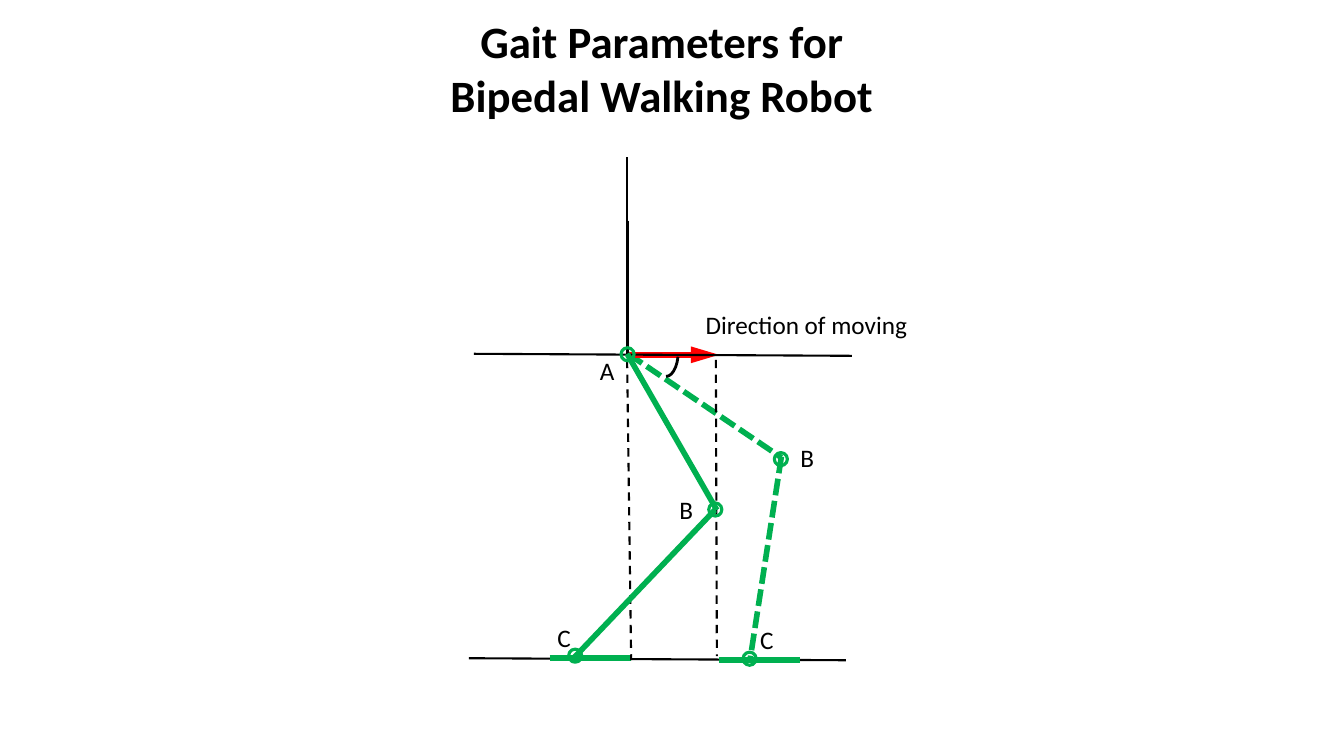
from lxml import etree
from pptx import Presentation
from pptx.dml.color import RGBColor
from pptx.enum.dml import MSO_LINE as Dash
from pptx.enum.shapes import MSO_CONNECTOR as Link, MSO_SHAPE as Preset
from pptx.enum.text import MSO_AUTO_SIZE as AutoSize, PP_ALIGN as Align
from pptx.oxml.ns import qn
from pptx.util import Pt

PX = 9144  # 100 px to the inch
BLACK = RGBColor(0x00, 0x00, 0x00)
GREEN = RGBColor(0x00, 0xB0, 0x50)
RED = RGBColor(0xFF, 0x00, 0x00)
JOINT_SIZE = 13


def emu(*lengths):
    return [length * PX for length in lengths]


class GaitSlide:
    font_name = "Calibri"

    def __init__(self, deck):
        self.shapes = deck.slides.add_slide(deck.slide_layouts[6]).shapes
        self.figure = self.shapes.add_group_shape().shapes

    def line(self, start, end, color=BLACK, width=1.5, dash=None, arrow=False):
        link = self.figure.add_connector(Link.STRAIGHT, *emu(*start, *end))
        link.line.color.rgb = color
        link.line.width = Pt(width)
        if dash:
            link.line.dash_style = dash
        if arrow:
            etree.SubElement(link.line._get_or_add_ln(), qn("a:tailEnd"),
                             type="triangle", w="med", len="lg")
        etree.SubElement(link._element.spPr, qn("a:effectLst"))

    def outline(self, preset, box, color, width, rotation=0):
        """Draw an unfilled preset shape."""
        shape = self.figure.add_shape(preset, *emu(*box))
        shape.shadow.inherit = False
        shape.fill.background()
        shape.line.color.rgb = color
        shape.line.width = Pt(width)
        shape.rotation = rotation

    def joint(self, left, top):
        self.outline(Preset.OVAL, (left, top, JOINT_SIZE, JOINT_SIZE), GREEN, 2.25)

    def text(self, shapes, lines, box, size=18, bold=False, align=Align.LEFT,
             right_inset=10):
        text_box = shapes.add_textbox(*emu(*box))
        frame = text_box.text_frame
        frame.word_wrap = True
        frame.auto_size = AutoSize.SHAPE_TO_FIT_TEXT
        frame.margin_right = right_inset * PX
        frame.text = "\n".join(lines)
        for paragraph in frame.paragraphs:
            paragraph.alignment = align
            font = paragraph.runs[0].font
            font.name = self.font_name
            font.size = Pt(size)
            font.bold = bold
            font.color.rgb = BLACK

    def label(self, wording, left, top, width=38):
        self.text(self.figure, [wording], (left, top, width, 40))

    def title(self, *lines):
        self.text(self.shapes, lines, (427, 9, 475, 172), size=32, bold=True,
                  align=Align.CENTER, right_inset=26)


def main():
    deck = Presentation()
    deck.slide_width, deck.slide_height = emu(1333, 750)
    slide = GaitSlide(deck)

    # Swing thigh, moving direction and torso
    slide.line((623, 351), (775, 454), GREEN, 4, Dash.SQUARE_DOT)
    slide.line((623, 352), (713, 352), RED, 4, arrow=True)
    slide.line((623, 219), (623, 350), width=1)

    # Hip level and ground
    slide.line((470, 351), (845, 353))
    slide.line((465, 653), (839, 655))

    # Feet and swing shin
    slide.line((545, 653), (626, 653), GREEN, 4)
    slide.line((713, 655), (793, 655), GREEN, 4)
    slide.line((775, 453), (744, 654), GREEN, 4, Dash.SQUARE_DOT)

    # Vertical references
    slide.line((710, 357), (711, 651), dash=Dash.DASH)
    slide.line((622, 357), (626, 655), dash=Dash.DASH)
    slide.line((622, 156), (622, 353))

    # Support leg and swing angle
    slide.line((622, 351), (711, 506), GREEN, 4)
    slide.line((709, 506), (566, 656), GREEN, 4)
    slide.outline(Preset.ARC, (642, 343, 41, 20), BLACK, 2, rotation=95.4)

    for corner in ((768, 449), (564, 644), (737, 647), (703, 499), (616, 345)):
        slide.joint(*corner)

    for letter, left, top in (("A", 585, 348), ("B", 664, 485), ("C", 543, 612),
                              ("B", 784, 434), ("C", 744, 614)):
        slide.label(letter, left, top)
    slide.label("Direction of moving", 690, 302, width=262)

    slide.title("Gait Parameters for", "Bipedal Walking Robot")
    deck.save("out.pptx")


if __name__ == "__main__":
    main()
